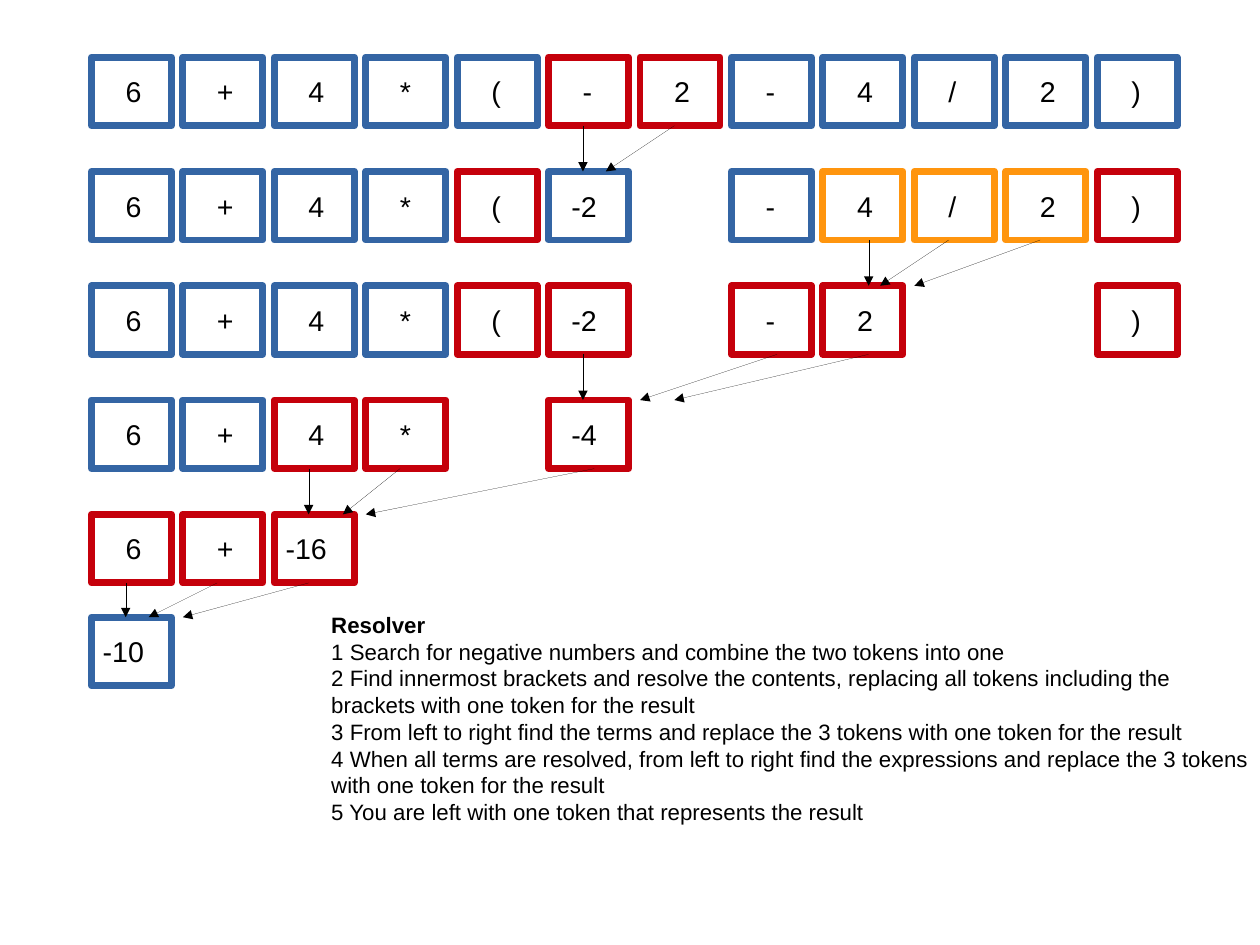
import pptx
import pptx.util
import pptx.dml.color
import pptx.enum.shapes
import pptx.enum.text
import pptx.oxml

BLUE = pptx.dml.color.RGBColor(0x34, 0x65, 0xA4)
RED = pptx.dml.color.RGBColor(0xC5, 0x00, 0x0B)
ORANGE = pptx.dml.color.RGBColor(0xFF, 0x95, 0x0E)
BLACK = pptx.dml.color.RGBColor(0x00, 0x00, 0x00)
TOKEN_COLOURS = {"B": BLUE, "R": RED, "O": ORANGE}

TOKEN_WIDTH, TOKEN_HEIGHT, TOKEN_PITCH = 7, 6, 8
LEFT_MARGIN = 8

STEPS = [
    (5, "6 + 4 * ( - 2 - 4 / 2 )", "BBBBBRRBBBBB", [(51, 51), (59, 53)]),
    (15, "6 + 4 * ( -2 . - 4 / 2 )", "BBBBRB.BOOOR", [(76, 76), (83, 77), (91, 80)]),
    (25, "6 + 4 * ( -2 . - 2 . . )", "BBBBRR.RR..R", [(51, 51), (68, 56), (76, 59)]),
    (35, "6 + 4 * . -4", "BBRR.R", [(27, 27), (35, 30), (52, 32)]),
    (45, "6 + -16", "RRR", [(11, 11), (19, 13), (27, 16)]),
    (54, "-10", "B", []),
]

RULES = [
    "Resolver",
    "1 Search for negative numbers and combine the two tokens into one",
    "2 Find innermost brackets and resolve the contents, replacing all tokens "
    "including the brackets with one token for the result",
    "3 From left to right find the terms and replace the 3 tokens with one token "
    "for the result",
    "4 When all terms are resolved, from left to right find the expressions and "
    "replace the 3 tokens with one token for the result",
    "5 You are left with one token that represents the result",
]


class GridSlide:
    cell = pptx.util.Inches(0.1)
    font_name = "Arial"
    frame_width = pptx.util.Pt(4.31)
    namespace = 'xmlns:a="http://schemas.openxmlformats.org/drawingml/2006/main"'

    def __init__(self, slide):
        self.shapes = slide.shapes

    def place(self, *cells):
        return [round(count * self.cell) for count in cells]

    def add_part(self, parent, markup):
        parent.append(pptx.oxml.parse_xml(markup.format(self.namespace)))

    def frame(self, column, row, colour):
        box = self.shapes.add_shape(
            pptx.enum.shapes.MSO_SHAPE.RECTANGLE,
            *self.place(column, row, TOKEN_WIDTH, TOKEN_HEIGHT))
        box.shadow.inherit = False
        box.fill.background()
        box.line.color.rgb = colour
        box.line.width = self.frame_width
        self.add_part(box._element.spPr.get_or_add_ln(), "<a:round {}/>")

    def text(self, column, row, width, height, lines, size, align):
        box = self.shapes.add_textbox(*self.place(column, row, width, height))
        box.text_frame.word_wrap = True
        box.text_frame.auto_size = pptx.enum.text.MSO_AUTO_SIZE.SHAPE_TO_FIT_TEXT
        box.text_frame.text = "\n".join(lines)
        for para in box.text_frame.paragraphs:
            para.alignment = align
            for span in para.runs:
                span.font.name = self.font_name
                span.font.size = pptx.util.Pt(size)
                span.font.color.rgb = BLACK
        return box

    def token(self, column, row, label, colour):
        self.frame(column, row, colour)
        indent = 3 - len(label)
        self.text(column + indent, row + 1, max(4, TOKEN_WIDTH - 2 * indent), 4,
                  [label], 18, pptx.enum.text.PP_ALIGN.JUSTIFY)

    def arrow(self, start_column, start_row, end_column, end_row):
        arrow = self.shapes.add_connector(
            pptx.enum.shapes.MSO_CONNECTOR.STRAIGHT,
            *self.place(start_column, start_row, end_column, end_row))
        arrow.line.color.rgb = BLACK
        properties = arrow._element.spPr
        outline = properties.get_or_add_ln()
        outline.set("w", "0")
        self.add_part(outline, '<a:tailEnd {} type="triangle"/>')
        self.add_part(properties, "<a:effectLst {}/>")


def main():
    deck = pptx.Presentation()
    deck.slide_width = pptx.util.Cm(28)
    deck.slide_height = pptx.util.Cm(21)
    page = GridSlide(deck.slides.add_slide(deck.slide_layouts[6]))

    for row, tokens, colours, _ in STEPS:
        for index, (label, key) in enumerate(zip(tokens.split(), colours)):
            if key in TOKEN_COLOURS:
                page.token(LEFT_MARGIN + index * TOKEN_PITCH, row, label,
                           TOKEN_COLOURS[key])

    for (row, _, _, arrows), following in zip(STEPS, STEPS[1:]):
        for start_column, end_column in arrows:
            page.arrow(start_column, row + TOKEN_HEIGHT, end_column, following[0])

    rules = page.text(28, 53, 83, 27, RULES, 14, pptx.enum.text.PP_ALIGN.LEFT)
    rules.text_frame.paragraphs[0].runs[0].font.bold = True

    deck.save("out.pptx")


if __name__ == "__main__":
    main()
